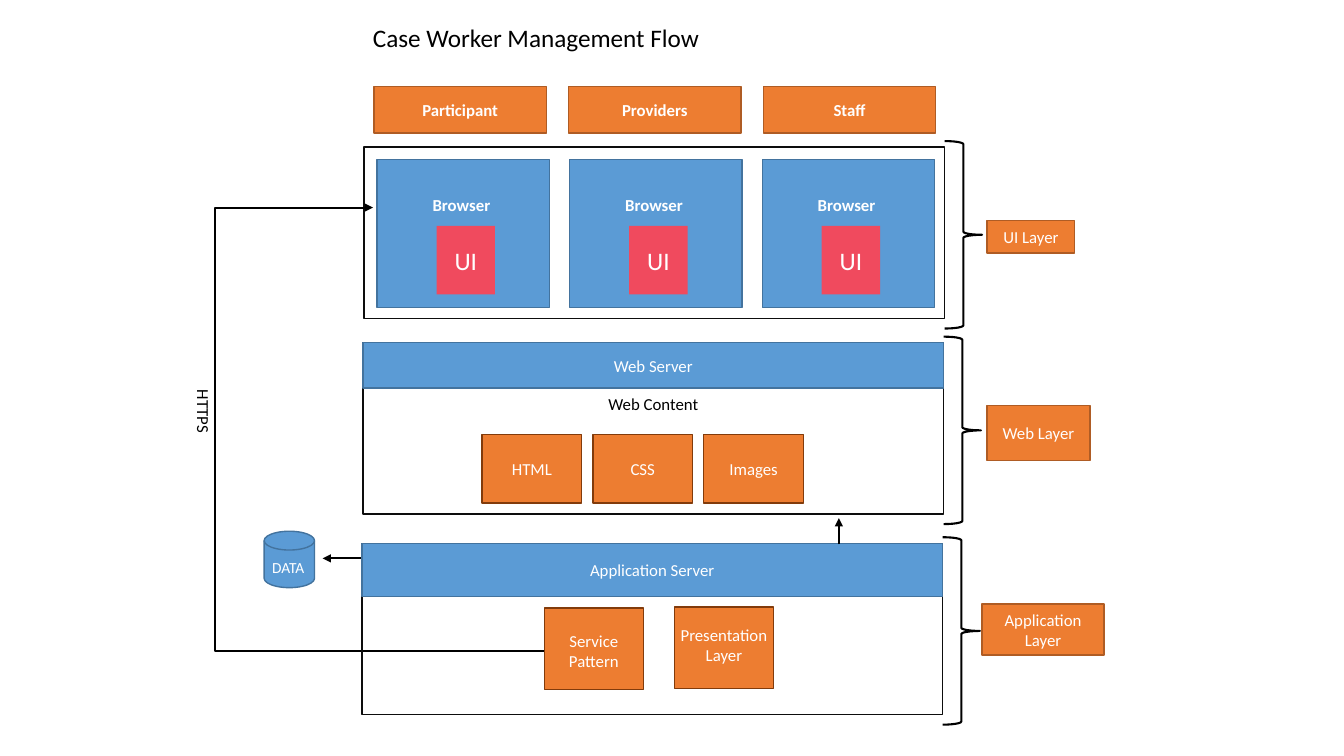
import collections

import lxml.etree
import pptx
import pptx.dml.color
import pptx.enum.shapes
import pptx.enum.text
import pptx.oxml.ns
import pptx.util

Inches = pptx.util.Inches
SHAPES = pptx.enum.shapes.MSO_SHAPE
CONNECTORS = pptx.enum.shapes.MSO_CONNECTOR
ANCHORS = pptx.enum.text.MSO_ANCHOR
ALIGNMENTS = pptx.enum.text.PP_ALIGN
Box = collections.namedtuple("Box", "left top width height")

COLORS = {
    "black": "000000", "white": "FFFFFF", "frame": "0D0D0D",
    "orange": "ED7D31", "orange_edge": "AF5C24", "brown_edge": "823B0B",
    "blue": "5B9BD5", "blue_edge": "43739E", "red": "F04A5E",
}


def color(name):
    """Return the named colour as an RGB value."""
    return pptx.dml.color.RGBColor.from_string(COLORS[name])


def inside(box, left, top, width, height):
    """Return a box whose offsets are counted from the given box."""
    return Box(box.left + left, box.top + top, width, height)


def write(shape, text, size=12, ink="white", bold=False, align=ALIGNMENTS.CENTER,
          anchor=ANCHORS.MIDDLE, top=0.05, side=0.1):
    """Fill a shape with text, one paragraph to each line."""
    frame = shape.text_frame
    frame.word_wrap = True
    frame.vertical_anchor = anchor
    frame.margin_top = Inches(top)
    frame.margin_left = frame.margin_right = Inches(side)
    frame.text = text
    for paragraph in frame.paragraphs:
        paragraph.alignment = align
        paragraph.font.name = "Calibri"
        paragraph.font.size = pptx.util.Pt(size)
        paragraph.font.bold = bold
        paragraph.font.color.rgb = color(ink)


def add_shape(slide, box, fill=None, edge=None, text="", kind=SHAPES.RECTANGLE,
              weight=1, **style):
    """Add a preset shape with optional fill, outline and text."""
    shape = slide.shapes.add_shape(kind, *map(Inches, box))
    shape.shadow.inherit = False
    if fill:
        shape.fill.solid()
        shape.fill.fore_color.rgb = color(fill)
    else:
        shape.fill.background()
    if edge:
        shape.line.color.rgb = color(edge)
        shape.line.width = pptx.util.Pt(weight)
    else:
        shape.line.fill.background()
    if text:
        write(shape, text, **style)
    return shape


def add_label(slide, box, text, **style):
    """Add a plain text box."""
    label = slide.shapes.add_textbox(*map(Inches, box))
    write(label, text, anchor=ANCHORS.TOP, **style)
    return label


def add_arrow(slide, start, end, kind=CONNECTORS.STRAIGHT, bend=None):
    """Add a black arrow; bend places the elbow as a share of its width."""
    arrow = slide.shapes.add_connector(kind, *map(Inches, start + end))
    arrow.line.color.rgb = color("black")
    arrow.line.width = pptx.util.Pt(1.5)
    qualified = pptx.oxml.ns.qn
    properties = arrow._element.spPr
    outline = properties.find(qualified("a:ln"))
    lxml.etree.SubElement(outline, qualified("a:tailEnd"), type="triangle")
    lxml.etree.SubElement(properties, qualified("a:effectLst"))
    if bend is not None:
        geometry = properties.find(qualified("a:prstGeom"))
        guides = geometry.find(qualified("a:avLst"))
        if guides is None:
            guides = lxml.etree.SubElement(geometry, qualified("a:avLst"))
        lxml.etree.SubElement(guides, qualified("a:gd"), name="adj1",
                              fmla=f"val {round(bend * 100000)}")


def add_layer(slide, box, name, tag):
    """Add a layer frame, the brace on its right and the name tag."""
    add_shape(slide, box, edge="frame")
    add_shape(slide, inside(box, box.width, -0.06, 0.37, 1.86), edge="black",
              kind=SHAPES.RIGHT_BRACE, weight=1.5)
    add_shape(slide, inside(box, *tag), "orange", "orange_edge", name)


def add_header(slide, box):
    """Add the title and the row of user roles."""
    add_label(slide, inside(box, 0, 0, 4.59, 0.4), "Case Worker Management Flow",
              size=18, ink="black", align=ALIGNMENTS.LEFT)
    for column, role in enumerate(("Participant", "Providers", "Staff")):
        add_shape(slide, inside(box, 0.11 + 1.93 * column, 0.69, 1.71, 0.46),
                  "orange", "orange_edge", role, bold=True)


def add_ui_layer(slide, box):
    """Add the layer of three browsers, each with its UI."""
    add_layer(slide, box, "UI Layer", (6.18, 0.73, 0.87, 0.32))
    for column in range(3):
        browser = inside(box, 0.13 + 1.91 * column, 0.12, 1.71, 1.47)
        add_shape(slide, browser, "blue", "blue_edge", "Browser", bold=True,
                  align=ALIGNMENTS.LEFT, anchor=ANCHORS.TOP, top=0.35, side=0.55)
        add_shape(slide, inside(browser, 0.59, 0.66, 0.58, 0.68), "red",
                  text="UI", size=18)


def add_web_layer(slide, box):
    """Add the web server with its kinds of content."""
    add_layer(slide, box, "Web Layer", (6.19, 0.62, 1.02, 0.55))
    for column, content in enumerate(("HTML", "CSS", "Images")):
        add_shape(slide, inside(box, 1.18 + 1.1 * column, 0.91, 0.99, 0.68),
                  "orange", "brown_edge", content)
    add_shape(slide, inside(box, 0, 0, box.width, 0.45), "blue", "blue_edge",
              "Web Server")
    add_label(slide, inside(box, 0, 0.46, box.width, 0.31), "Web Content",
              ink="black")


def add_application_layer(slide, box):
    """Add the application server with its two parts."""
    add_layer(slide, box, "Application Layer", (6.15, 0.6, 1.21, 0.51))
    add_shape(slide, inside(box, 3.1, 0.63, 0.98, 0.81), "orange", "brown_edge",
              "Presentation\nLayer", anchor=ANCHORS.TOP, top=0.18, side=0)
    add_shape(slide, inside(box, 1.81, 0.64, 0.98, 0.81), "orange", "brown_edge",
              "Service Pattern", anchor=ANCHORS.TOP, top=0.23)
    add_shape(slide, inside(box, 0, 0, box.width, 0.53), "blue", "blue_edge",
              "Application Server")


def add_data_store(slide, box):
    """Add the upright drum and its label."""
    drum = add_shape(slide, box, "blue", "blue_edge",
                     kind=SHAPES.FLOWCHART_DIRECT_ACCESS_STORAGE)
    drum.rotation = 270
    add_label(slide, inside(box, 0.01, 0.19, 0.75, 0.25), "DATA", size=11,
              align=ALIGNMENTS.LEFT)


def build_slide(slide):
    """Place the regions and the arrows between them."""
    add_arrow(slide, (4.11, 5.7), (3.2, 5.54), CONNECTORS.ELBOW, bend=0.5)
    add_header(slide, Box(3.6, 0.17, 5.76, 1.15))
    add_ui_layer(slide, Box(3.61, 1.46, 5.76, 1.7))
    add_web_layer(slide, Box(3.6, 3.4, 5.76, 1.7))
    add_arrow(slide, (5.42, 6.46), (3.7, 2.06), CONNECTORS.ELBOW, bend=1.91)
    add_application_layer(slide, Box(3.59, 5.39, 5.76, 1.7))
    add_arrow(slide, (8.32, 5.4), (8.32, 5.14))
    https = add_label(slide, Box(1.7, 3.97, 0.67, 0.27), "HTTPS", ink="black",
                      align=ALIGNMENTS.LEFT)
    https.rotation = 90
    add_data_store(slide, Box(2.59, 5.3, 0.56, 0.5))


presentation = pptx.Presentation()
presentation.slide_width = Inches(13.33)
presentation.slide_height = Inches(7.5)
build_slide(presentation.slides.add_slide(presentation.slide_layouts[6]))
presentation.save("out.pptx")
